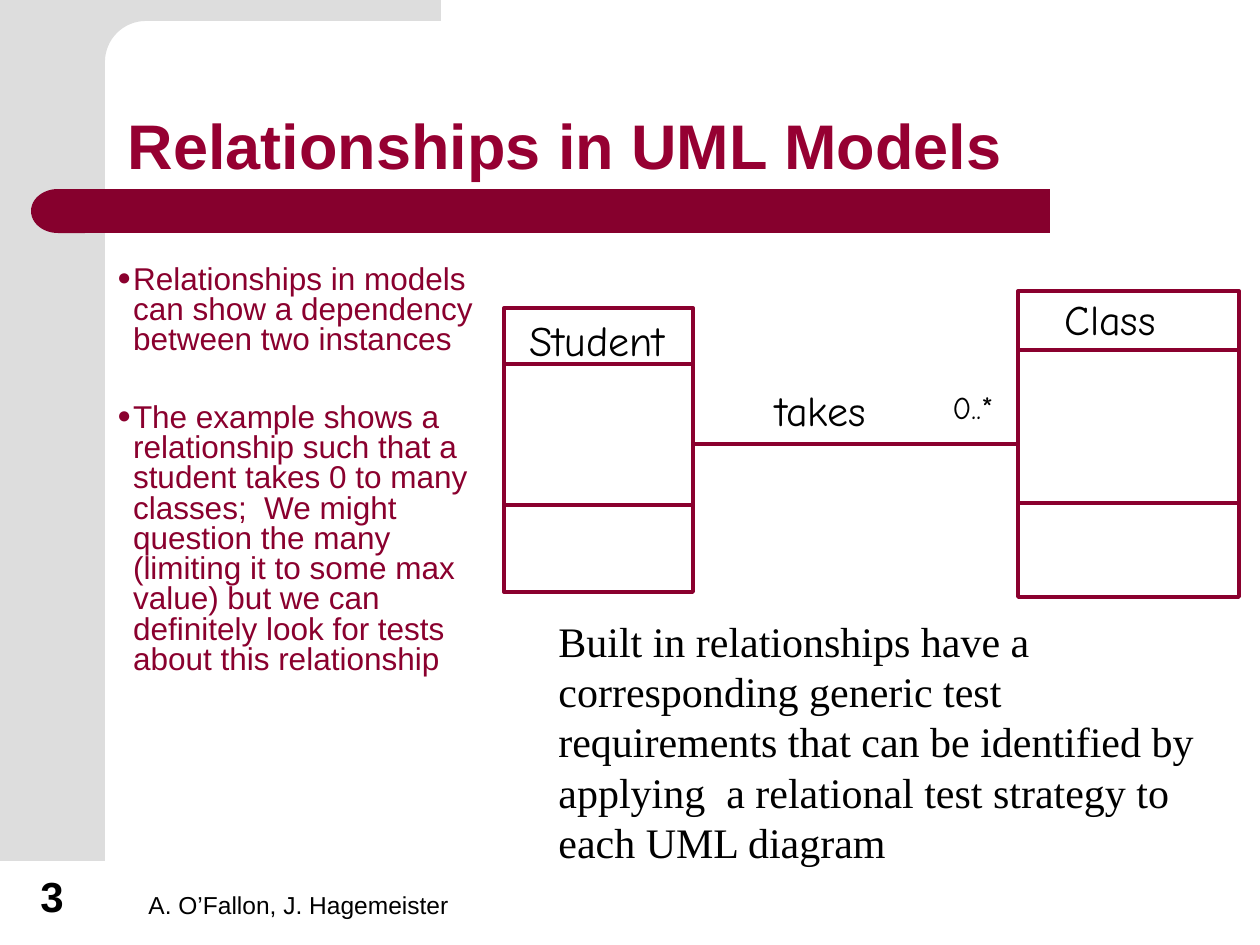
from dataclasses import dataclass
from math import cos, pi, sin

from lxml.etree import SubElement
from pptx import Presentation
from pptx.dml.color import RGBColor
from pptx.enum.shapes import MSO_CONNECTOR as Connector, MSO_SHAPE as Preset
from pptx.enum.text import MSO_ANCHOR as Anchor, MSO_AUTO_SIZE as AutoSize, PP_ALIGN as Align
from pptx.oxml.ns import qn
from pptx.util import Emu, Pt

COLORS = {
    "panel": "DDDDDD",
    "bar": "86002D",
    "title": "960032",
    "accent": "8A002E",
    "ink": "000000",
}
PX = 914400 / 126
LINE_WIDTH = 2.25


@dataclass(frozen=True)
class Area:
    left: int
    top: int
    width: int
    height: int

    def emu(self) -> list[Emu]:
        return [px(n) for n in (self.left, self.top, self.width, self.height)]


@dataclass(frozen=True)
class Label:
    text: str
    area: Area
    size: int
    font: str
    bold: bool = False
    anchor: Anchor = Anchor.TOP


@dataclass(frozen=True)
class ClassBox:
    area: Area
    dividers: tuple[int, int]


BLOCKS = [
    (Preset.RECTANGLE, Area(0, 0, 105, 861), "panel", 0),
    (Preset.RECTANGLE, Area(84, 189, 966, 44), "bar", 0),
    (Preset.FLOWCHART_DELAY, Area(31, 189, 54, 44), "bar", 180),
]
STUDENT = ClassBox(Area(504, 308, 189, 284), (364, 505))
COURSE = ClassBox(Area(1018, 291, 221, 306), (350, 503))
ASSOCIATION_Y = 444
BULLETS = [
    "Relationships in models can show a dependency between two instances",
    "The example shows a relationship such that a student takes 0 to many classes;  "
    "We might question the many (limiting it to some max value) but we can "
    "definitely look for tests about this relationship",
]
LABELS = [
    Label("A. O’Fallon, J. Hagemeister", Area(136, 861, 473, 65), 14, "Arial",
          anchor=Anchor.BOTTOM),
    Label("3", Area(28, 861, 81, 66), 24, "Arial", True, Anchor.BOTTOM),
    Label("Student", Area(517, 308, 172, 63), 24, "Comic Neue"),
    Label("Class", Area(1052, 287, 128, 63), 24, "Comic Neue"),
    Label("takes", Area(763, 378, 128, 63), 24, "Comic Neue"),
    Label("0..*", Area(940, 382, 77, 50), 18, "Comic Neue"),
    Label("Built in relationships have a corresponding generic test requirements "
          "that can be identified by applying  a relational test strategy to each "
          "UML diagram", Area(546, 609, 672, 265), 24, "Times New Roman"),
]


def px(length: float) -> Emu:
    return Emu(round(length * PX))


def color(name: str) -> RGBColor:
    return RGBColor.from_string(COLORS[name])


def style_font(paragraph, name: str, size: int, tint: str, bold: bool = False) -> None:
    font = paragraph.font
    font.name, font.size, font.bold = name, Pt(size), bold
    font.color.rgb = color(tint)


def fill_plain(shape, tint: str) -> None:
    shape.shadow.inherit = False
    shape.fill.solid()
    shape.fill.fore_color.rgb = color(tint)
    shape.line.fill.background()


def place(shape, area: Area) -> None:
    shape.left, shape.top, shape.width, shape.height = area.emu()


def add_background(shapes) -> None:
    for preset, area, tint, rotation in BLOCKS:
        block = shapes.add_shape(preset, *area.emu())
        block.rotation = rotation
        fill_plain(block, tint)
    radius, center_x, center_y = 41, 146, 62
    angles = [pi / 2 * step / 16 for step in range(17)]
    curve = [(center_x - radius * sin(a), center_y - radius * cos(a)) for a in angles]
    points = [(441, 21), *curve, (105, 77), (63, 77), (63, 0)]
    builder = shapes.build_freeform(px(441), 0)
    builder.add_line_segments([(px(x), px(y)) for x, y in points], close=True)
    fill_plain(builder.convert_to_shape(), "panel")


def add_title(title) -> None:
    place(title, Area(115, 52, 1072, 137))
    frame = title.text_frame
    frame.auto_size = AutoSize.NONE
    frame.vertical_anchor = Anchor.BOTTOM
    frame.margin_left = frame.margin_right = px(13)
    frame.margin_top = frame.margin_bottom = px(6)
    paragraph = frame.paragraphs[0]
    paragraph.text = "Relationships in UML Models"
    paragraph.alignment = Align.LEFT
    paragraph.line_spacing = 0.9
    style_font(paragraph, "Arial", 36, "title", True)


def add_bullet(paragraph) -> None:
    properties = paragraph._p.get_or_add_pPr()
    properties.set("marL", str(px(16)))
    properties.set("indent", str(px(-16)))
    tint = SubElement(properties, qn("a:buClr"))
    SubElement(tint, qn("a:srgbClr"), val=COLORS["accent"])
    SubElement(properties, qn("a:buSzPct"), val="75000")
    SubElement(properties, qn("a:buChar"), char="●")


def add_body(body) -> None:
    place(body, Area(105, 260, 411, 462))
    frame = body.text_frame
    frame.auto_size = AutoSize.NONE
    frame.vertical_anchor = Anchor.TOP
    frame.margin_left, frame.margin_right = px(12), px(24)
    frame.margin_top = frame.margin_bottom = px(6)
    for index, text in enumerate(BULLETS):
        paragraph = frame.add_paragraph() if index else frame.paragraphs[0]
        paragraph.text = text
        add_bullet(paragraph)
        paragraph.line_spacing = 0.8
        paragraph.space_before = Pt(27 if index else 0)
        style_font(paragraph, "Arial", 18, "accent")


def add_line(shapes, left: int, right: int, y: int):
    line = shapes.add_connector(Connector.STRAIGHT, px(left), px(y), px(right), px(y))
    line.line.color.rgb = color("accent")
    line.line.width = Pt(LINE_WIDTH)
    SubElement(line._element.spPr, qn("a:effectLst"))
    return line


def add_class_box(shapes, item: ClassBox):
    area = item.area
    outline = shapes.add_shape(Preset.RECTANGLE, *area.emu())
    outline.shadow.inherit = False
    outline.fill.background()
    outline.line.color.rgb = color("accent")
    outline.line.width = Pt(LINE_WIDTH)
    for y in item.dividers:
        add_line(shapes, area.left, area.left + area.width, y)
    return outline


def add_label(shapes, label: Label) -> None:
    box = shapes.add_textbox(*label.area.emu())
    frame = box.text_frame
    frame.word_wrap = True
    frame.vertical_anchor = label.anchor
    paragraph = frame.paragraphs[0]
    paragraph.text = label.text
    style_font(paragraph, label.font, label.size, "ink", label.bold)


def main() -> None:
    deck = Presentation()
    deck.slide_width, deck.slide_height = px(1260), px(945)
    page = deck.slides.add_slide(deck.slide_layouts[1])
    shapes = page.shapes
    add_background(shapes)
    add_title(shapes.title)
    add_body(page.placeholders[1])
    add_class_box(shapes, STUDENT)
    course = add_class_box(shapes, COURSE)
    student_right = STUDENT.area.left + STUDENT.area.width
    association = add_line(shapes, student_right, COURSE.area.left, ASSOCIATION_Y)
    association.end_connect(course, 1)
    for label in LABELS:
        add_label(shapes, label)
    deck.save("out.pptx")


if __name__ == "__main__":
    main()
